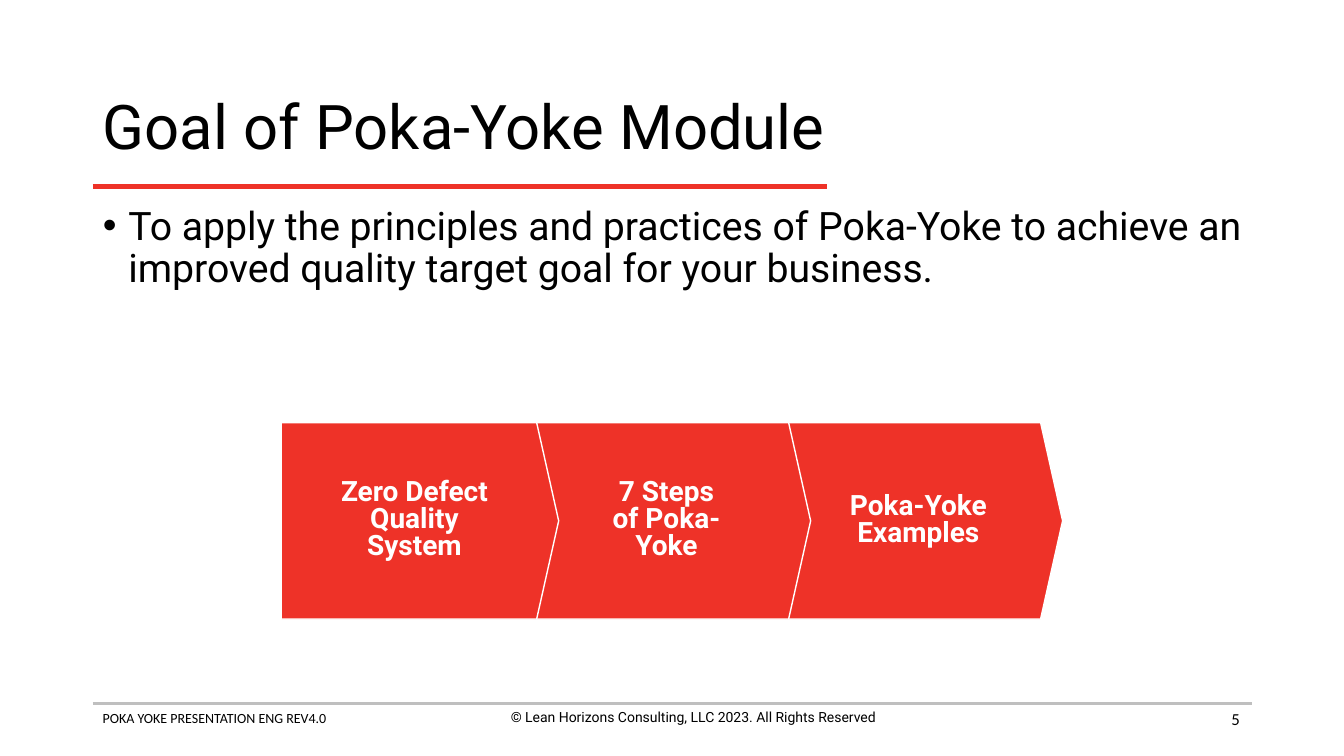
import dataclasses

import pptx
import pptx.dml.color
import pptx.enum.shapes
import pptx.enum.text
import pptx.oxml.ns
import pptx.util
from lxml import etree

Cm = pptx.util.Cm
Pt = pptx.util.Pt
ALIGN = pptx.enum.text.PP_ALIGN
ANCHOR = pptx.enum.text.MSO_ANCHOR
qn = pptx.oxml.ns.qn


@dataclasses.dataclass(frozen=True)
class Theme:
    font: str = "Roboto"
    small_font: str = "Calibri"
    text: str = "000000"
    accent: str = "EE3228"
    light: str = "FFFFFF"
    rule: str = "BFBFBF"
    title_size: int = 44
    body_size: int = 28
    step_size: int = 20
    number_size: int = 12
    footer_size: int = 10


THEME = Theme()
LEFT, WIDTH = Cm(2.34), Cm(29.21)
STEPS = [
    ["Zero Defect", "Quality", "System"],
    ["7 Steps", "of Poka-", "Yoke"],
    ["Poka-Yoke", "Examples"],
]


def rgb(value):
    return pptx.dml.color.RGBColor.from_string(value)


def place(sp, left, top, width, height):
    sp.left, sp.top, sp.width, sp.height = left, top, width, height


def write(sp, lines, size, color=THEME.text, font=THEME.font, bold=False,
          align=ALIGN.LEFT, anchor=ANCHOR.TOP, spacing=1.0, wrap=True):
    """Fill the first paragraph, with a line break between lines."""
    tf = sp.text_frame
    tf.auto_size = pptx.enum.text.MSO_AUTO_SIZE.NONE
    tf.word_wrap = wrap
    tf.vertical_anchor = anchor
    p = tf.paragraphs[0]
    p.alignment = align
    p.line_spacing = spacing
    p.space_before = Pt(0)
    for i, line in enumerate(lines):
        if i:
            p.add_line_break()
        r = p.add_run()
        r.text = line
        r.font.size = Pt(size)
        r.font.name = font
        r.font.bold = bold
        r.font.color.rgb = rgb(color)
    return p


def add_rule(s, top, width, color, weight):
    line = s.shapes.add_connector(
        pptx.enum.shapes.MSO_CONNECTOR.STRAIGHT, LEFT, top, LEFT + width, top)
    line.line.color.rgb = rgb(color)
    line.line.width = Pt(weight)
    etree.SubElement(line._element.spPr, qn("a:effectLst"))


def add_label(s, text, left, top, width, height, size, **style):
    sp = s.shapes.add_textbox(left, top, width, height)
    write(sp, [text], size, **style)


def add_bullet(p):
    pPr = p._p.get_or_add_pPr()
    pPr.set("marL", str(Cm(0.64)))
    pPr.set("indent", str(-Cm(0.64)))
    etree.SubElement(pPr, qn("a:buFont")).set("typeface", "Arial")
    etree.SubElement(pPr, qn("a:buChar")).set("char", "•")


def add_step(s, lines, left):
    sp = s.shapes.add_shape(pptx.enum.shapes.MSO_SHAPE.PENTAGON,
                            left, Cm(10.65), Cm(6.99), Cm(4.95))
    sp.adjustments[0] = 0.112
    sp.shadow.inherit = False
    sp.fill.solid()
    sp.fill.fore_color.rgb = rgb(THEME.accent)
    sp.line.color.rgb = rgb(THEME.light)
    sp.line.width = Pt(1)
    write(sp, lines, THEME.step_size, color=THEME.light, bold=True,
          align=ALIGN.CENTER, anchor=ANCHOR.MIDDLE, spacing=0.8, wrap=False)


def add_footer(s):
    add_rule(s, Cm(17.73), WIDTH, THEME.rule, 2)
    add_label(s, "POKA YOKE PRESENTATION ENG REV4.0", LEFT, Cm(17.75),
              Cm(11.58), Cm(1.12), THEME.footer_size, font=THEME.small_font)
    add_label(s, "© Lean Horizons Consulting, LLC 2023. All Rights Reserved",
              Cm(11.68), Cm(17.73), Cm(11.58), Cm(1.12), THEME.footer_size,
              align=ALIGN.CENTER)
    add_label(s, "5", Cm(23.88), Cm(17.6), Cm(7.62), Cm(1.02),
              THEME.number_size, font=THEME.small_font, align=ALIGN.RIGHT,
              anchor=ANCHOR.MIDDLE)


def main():
    prs = pptx.Presentation()
    prs.slide_width, prs.slide_height = Cm(33.87), Cm(19.05)
    s = prs.slides.add_slide(prs.slide_layouts[1])

    title, body = s.placeholders
    place(title, LEFT, Cm(1.88), WIDTH, Cm(2.79))
    write(title, ["Goal of Poka-Yoke Module"], THEME.title_size,
          anchor=ANCHOR.MIDDLE, spacing=0.9)
    add_rule(s, Cm(4.7), Cm(18.49), THEME.accent, 3)

    place(body, LEFT, Cm(5.08), WIDTH, Cm(12.09))
    goal = write(body, ["To apply the principles and practices of Poka-Yoke to "
                        "achieve an improved quality target goal for your "
                        "business."], THEME.body_size, spacing=0.9)
    add_bullet(goal)

    # Later steps go behind, so that each point overlaps the next step.
    for i, lines in reversed(list(enumerate(STEPS))):
        add_step(s, lines, Cm(7.09 + 6.35 * i))
    add_footer(s)
    prs.save("out.pptx")


if __name__ == "__main__":
    main()
